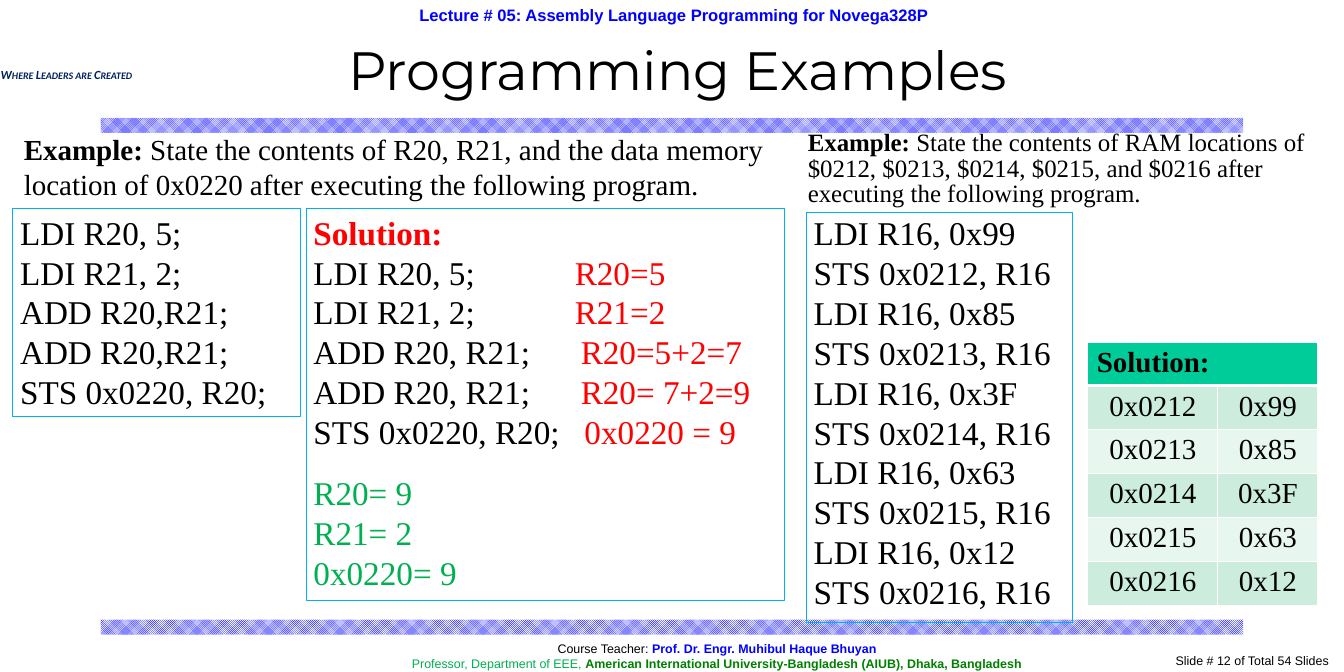
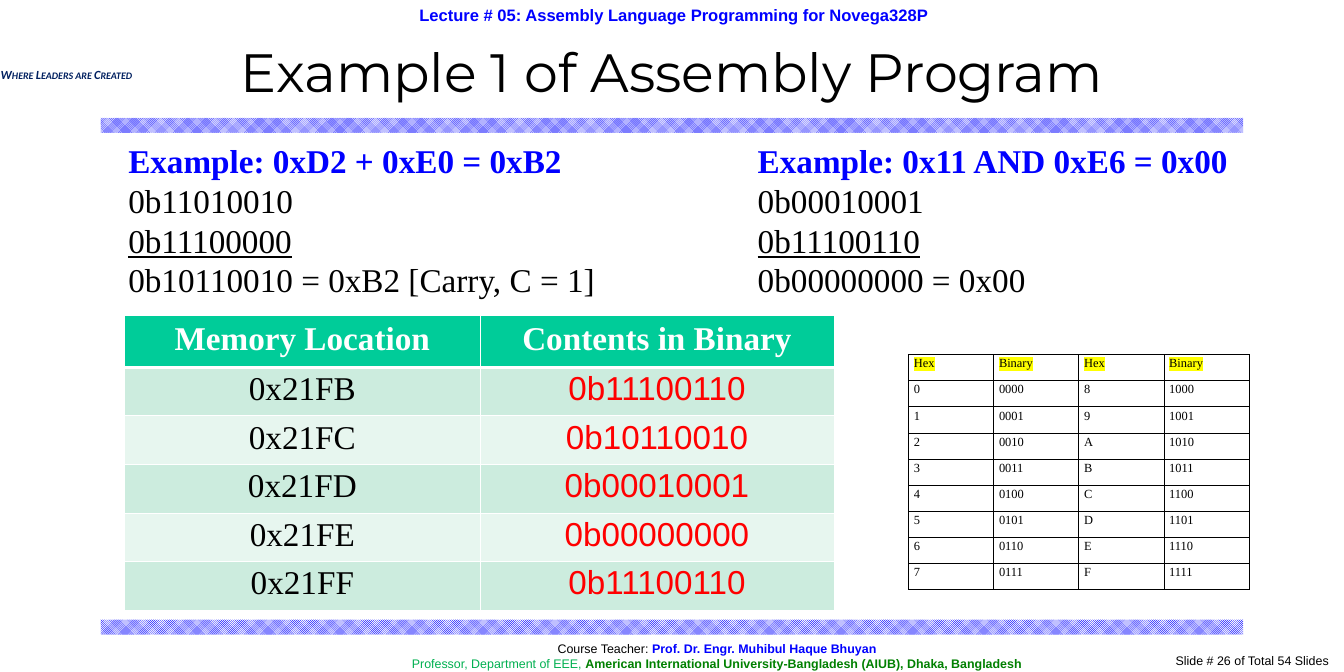
from dataclasses import dataclass, replace
from typing import NamedTuple, Optional, Sequence

from lxml.etree import SubElement
from pptx import Presentation
from pptx.dml.color import RGBColor
from pptx.enum.dml import MSO_PATTERN
from pptx.enum.shapes import MSO_SHAPE
from pptx.enum.text import MSO_ANCHOR, PP_ALIGN
from pptx.oxml.ns import qn
from pptx.util import Emu, Pt

SCALE = 9144  # EMU in one px, 100 px to the inch

BLACK = RGBColor(0x00, 0x00, 0x00)
WHITE = RGBColor(0xFF, 0xFF, 0xFF)
BLUE = RGBColor(0x00, 0x00, 0xFF)
NAVY = RGBColor(0x00, 0x20, 0x60)
SKY = RGBColor(0x00, 0xB0, 0xF0)
RED = RGBColor(0xFF, 0x00, 0x00)
GREEN = RGBColor(0x00, 0xB0, 0x50)
FOREST = RGBColor(0x00, 0x80, 0x00)
TEAL = RGBColor(0x00, 0xCC, 0x99)
MINT = RGBColor(0xCC, 0xEC, 0xDE)
PALE = RGBColor(0xE7, 0xF6, 0xEF)
YELLOW = RGBColor(0xFF, 0xFF, 0x00)

LEFT, MID, RIGHT = PP_ALIGN.LEFT, PP_ALIGN.CENTER, PP_ALIGN.RIGHT
TOP, CENTER = MSO_ANCHOR.TOP, MSO_ANCHOR.MIDDLE


class Area(NamedTuple):
    x: int
    y: int
    w: int
    h: int


class Pad(NamedTuple):
    x: int = 10
    y: int = 5


class Face(NamedTuple):
    font: str
    size: int
    color: RGBColor = BLACK
    bold: bool = False
    slant: bool = False
    under: bool = False


class Bit(NamedTuple):
    text: str
    color: Optional[RGBColor] = None
    bold: Optional[bool] = None
    caps: bool = False
    mark: Optional[RGBColor] = None


@dataclass(frozen=True)
class Line:
    bits: Sequence[Bit]
    face: Face
    align: PP_ALIGN = LEFT
    lead: Optional[float] = None
    before: int = 0
    after: int = 0
    tab: int = 0


@dataclass(frozen=True)
class Cell:
    line: Line
    fill: Optional[RGBColor] = None
    pad: Pad = Pad(12, 6)


@dataclass(frozen=True)
class Grid:
    x: int
    y: int
    cols: Sequence[int]
    rows: Sequence[int]
    cells: Sequence[Sequence[Cell]]
    edge: RGBColor = WHITE
    rule: int = 1  # line under the head row, in points
    anchor: MSO_ANCHOR = TOP


HEAD = Face("Arial", 16, BLUE, True)
SMALL = Face("Arial", 12)
MOTTO = Face("Calibri", 12, NAVY, True, True)
TITLE = Face("Montserrat", 52)
CODE = Face("Times New Roman", 32)
TASK = Face("Times New Roman", 28)
NOTE = Face("Times New Roman", 24)
TINY = Face("Times New Roman", 12)


def px(n: int) -> Emu:
    return Emu(n * SCALE)


def plain(face: Face, *texts: str) -> list[Line]:
    return [Line([Bit(text)], face) for text in texts]


# Text
def put(para, line: Line) -> None:
    if line.tab:
        tabs = SubElement(para._p.get_or_add_pPr(), qn("a:tabLst"))
        SubElement(tabs, qn("a:tab"), pos=str(px(line.tab)), algn="l")
    para.alignment = line.align
    if line.lead:
        para.line_spacing = line.lead
    if line.before:
        para.space_before = Pt(line.before)
    if line.after:
        para.space_after = Pt(line.after)
    face, font = line.face, para.font
    font.name, font.size, font.bold = face.font, Pt(face.size), face.bold
    font.italic, font.underline = face.slant, face.under
    font.color.rgb = face.color
    for bit in line.bits:
        run = para.add_run()
        run.text = bit.text
        if bit.color is not None:
            run.font.color.rgb = bit.color
        if bit.bold is not None:
            run.font.bold = bit.bold
        if bit.caps:
            run._r.get_or_add_rPr().set("cap", "small")
        if bit.mark is not None:
            mark = SubElement(run._r.get_or_add_rPr(), qn("a:highlight"))
            SubElement(mark, qn("a:srgbClr"), val=str(bit.mark))


def write(frame, lines: Sequence[Line], pad: Pad, anchor: MSO_ANCHOR) -> None:
    frame.word_wrap = True
    frame.vertical_anchor = anchor
    frame.margin_left = frame.margin_right = px(pad.x)
    frame.margin_top = frame.margin_bottom = px(pad.y)
    for i, line in enumerate(lines):
        put(frame.add_paragraph() if i else frame.paragraphs[0], line)


def label(slide, area: Area, lines: Sequence[Line], pad: Pad = Pad(),
          anchor: MSO_ANCHOR = TOP) -> None:
    box = slide.shapes.add_textbox(*map(px, area))
    write(box.text_frame, lines, pad, anchor)


# Shapes
def block(slide, area: Area):
    shape = slide.shapes.add_shape(MSO_SHAPE.RECTANGLE, *map(px, area))
    shape.shadow.inherit = False
    return shape


def band(slide, y: int) -> None:
    shape = block(slide, Area(135, y, 1530, 20))
    shape.fill.patterned()
    shape.fill.pattern = MSO_PATTERN.SMALL_CHECKER_BOARD
    shape.fill.fore_color.rgb = BLUE
    shape.fill.back_color.rgb = WHITE
    shape.line.fill.background()


def panel(slide, area: Area, lines: Sequence[Line], pad: Pad = Pad(),
          edge: RGBColor = SKY, fill: Optional[RGBColor] = None) -> None:
    shape = block(slide, area)
    if fill is None:
        shape.fill.background()
    else:
        shape.fill.solid()
        shape.fill.fore_color.rgb = fill
    shape.line.color.rgb = edge
    shape.line.width = Pt(0.75)
    write(shape.text_frame, lines, pad, TOP)


# Tables
def border(cell, color: RGBColor, top: int, base: int) -> None:
    props = cell._tc.get_or_add_tcPr()
    for tag, width in (("lnL", 1), ("lnR", 1), ("lnT", top), ("lnB", base)):
        edge = SubElement(props, qn(f"a:{tag}"), w=str(Pt(width)))
        fill = SubElement(edge, qn("a:solidFill"))
        SubElement(fill, qn("a:srgbClr"), val=str(color))


def draw(slide, grid: Grid):
    area = Area(grid.x, grid.y, sum(grid.cols), sum(grid.rows))
    table = slide.shapes.add_table(len(grid.rows), len(grid.cols),
                                   *map(px, area)).table
    table.first_row = table.horz_banding = False
    for col, width in zip(table.columns, grid.cols):
        col.width = px(width)
    for row, height in zip(table.rows, grid.rows):
        row.height = px(height)
    for r, row in enumerate(grid.cells):
        for c, item in enumerate(row):
            cell = table.cell(r, c)
            border(cell, grid.edge, grid.rule if r == 1 else 1,
                   grid.rule if r == 0 else 1)
            if item.fill is None:
                cell.fill.background()
            else:
                cell.fill.solid()
                cell.fill.fore_color.rgb = item.fill
            cell.vertical_anchor = grid.anchor
            cell.margin_left = cell.margin_right = px(item.pad.x)
            cell.margin_top = cell.margin_bottom = px(item.pad.y)
            put(cell.text_frame.paragraphs[0], item.line)
    return table


def shade(row: int) -> RGBColor:
    return PALE if row % 2 else MINT


# Parts that all slides share
def start(deck, page: int, title: str, spot: Area):
    slide = deck.slides.add_slide(deck.slide_layouts[6])
    band(slide, 830)
    band(slide, 158)
    head = "Lecture # 05: Assembly Language Programming for Novega328P"
    panel(slide, Area(8, 6, 1789, 27), [Line([Bit(head)], HEAD, MID)],
          Pad(13, 0), WHITE, WHITE)
    panel(slide, Area(298, 858, 1325, 42), [
        Line([Bit("Course Teacher:"),
              Bit(" Prof. Dr. Engr. Muhibul Haque Bhuyan", BLUE, True)],
             SMALL, MID),
        Line([Bit("Professor, Department of EEE, ", GREEN),
              Bit("American International University-Bangladesh (AIUB), "
                  "Dhaka, Bangladesh", FOREST, True)], SMALL, MID),
    ], Pad(13, 0), WHITE, WHITE)
    label(slide, Area(1, 84, 181, 33),
          [Line([Bit("Where Leaders are Created", caps=True)], MOTTO)],
          Pad(0, 6))
    panel(slide, Area(1493, 869, 300, 31),
          [Line([Bit(f"Slide # {page} of Total 54 Slides")], SMALL, RIGHT)],
          Pad(13, 6), WHITE, WHITE)
    label(slide, spot, [Line([Bit(title)], TITLE, MID)], anchor=CENTER)
    return slide


def loads(deck) -> None:
    slide = start(deck, 12, "Programming Examples", Area(248, 42, 1320, 101))
    # Traced program and its result
    steps = [("LDI R20, 5;", "R20=5", 350), ("LDI R21, 2;", "R21=2", 350),
             ("ADD R20, R21;", "R20=5+2=7", 358),
             ("ADD R20, R21;", "R20= 7+2=9", 358),
             ("STS 0x0220, R20;", "0x0220 = 9", 363)]
    ends = plain(CODE._replace(color=GREEN), "R20= 9", "R21= 2", "0x0220= 9")
    ends[0] = replace(ends[0], before=21)
    panel(slide, Area(410, 279, 640, 525), [
        *plain(CODE._replace(color=RED, bold=True), "Solution:"),
        *(Line([Bit(f"{code}\t"), Bit(value, RED)], CODE, tab=tab)
          for code, value, tab in steps), *ends])
    panel(slide, Area(17, 279, 385, 279),
          plain(CODE, "LDI R20, 5;", "LDI R21, 2;", "ADD R20,R21;",
                "ADD R20,R21;", "STS 0x0220, R20;"))
    # Stores to memory
    stores = [("0x0212", "0x99"), ("0x0213", "0x85"), ("0x0214", "0x3F"),
              ("0x0215", "0x63"), ("0x0216", "0x12")]
    panel(slide, Area(1080, 285, 356, 549),
          plain(CODE, *(text for spot, value in stores for text in
                        (f"LDI R16, {value}", f"STS {spot}, R16"))),
          Pad(10, 0))
    top = Cell(Line([Bit("Solution:")], TASK._replace(bold=True)), TEAL)
    blank = Cell(Line([], TASK), TEAL)
    body = [[Cell(Line([Bit(text)], TASK, MID), shade(r)) for text in pair]
            for r, pair in enumerate(stores)]
    table = draw(slide, Grid(1457, 458, (174, 134), [58] * 6,
                             [[top, blank], *body], rule=3))
    table.cell(0, 0).merge(table.cell(0, 1))
    # Tasks
    lead = Bit("Example: ", bold=True)
    label(slide, Area(22, 171, 1028, 104), [Line([lead, Bit(
        "State the contents of R20, R21, and the data memory location of "
        "0x0220 after executing the following program.")], TASK)])
    label(slide, Area(1072, 171, 694, 113), [Line([lead, Bit(
        "State the contents of RAM locations of $0212, $0213, $0214, $0215, "
        "and $0216 after executing the following program.")], NOTE,
        lead=0.85)])


def sums(deck) -> None:
    slide = start(deck, 26, "Example 1 of Assembly Program",
                  Area(135, 50, 1530, 90))
    # Memory contents
    heads = [Cell(Line([Bit(text)], CODE._replace(color=WHITE, bold=True),
                       MID, 0.8), TEAL, pad)
             for text, pad in (("Memory Location", Pad(12, 6)),
                               ("Contents in Binary", Pad(0, 0)))]
    data = ["0b11100110", "0b10110010", "0b00010001", "0b00000000",
            "0b11100110"]
    value = Face("Arial", 32, RED)
    body = [[Cell(Line([Bit(text)], face, MID, 0.8), shade(r))
             for text, face in ((f"0x{0x21FB + r:X}", CODE), (bits, value))]
            for r, bits in enumerate(data)]
    draw(slide, Grid(167, 422, (476, 474), [70] + [65] * 5, [heads, *body],
                     rule=3, anchor=CENTER))
    # Worked sums
    for area, head, first, second, total in (
            (Area(162, 183, 663, 226), "Example: 0xD2 + 0xE0 = 0xB2",
             "0b11010010", "0b11100000", "0b10110010 = 0xB2 [Carry, C = 1]"),
            (Area(1005, 183, 695, 226), "Example: 0x11 AND 0xE6 = 0x00",
             "0b00010001", "0b11100110", "0b00000000 = 0x00")):
        label(slide, area, [
            *plain(CODE._replace(color=BLUE, bold=True), head),
            *plain(CODE, first),
            *plain(CODE._replace(under=True), second),
            *plain(CODE, total)])
    # Hex digits in binary
    rows = [["Hex", "Binary"] * 2]
    rows += [[f"{n:X}", f"{n:04b}", f"{n + 8:X}", f"{n + 8:04b}"]
             for n in range(8)]
    cells = [[Cell(Line([Bit(text, mark=None if r else YELLOW)], TINY,
                        lead=1.15, after=8), pad=Pad(7, 0)) for text in row]
             for r, row in enumerate(rows)]
    draw(slide, Grid(1217, 475, [114] * 4, [35] * 9, cells, BLACK))


def main() -> None:
    deck = Presentation()
    deck.slide_width, deck.slide_height = px(1800), px(900)
    loads(deck)
    sums(deck)
    deck.save("out.pptx")


if __name__ == "__main__":
    main()
